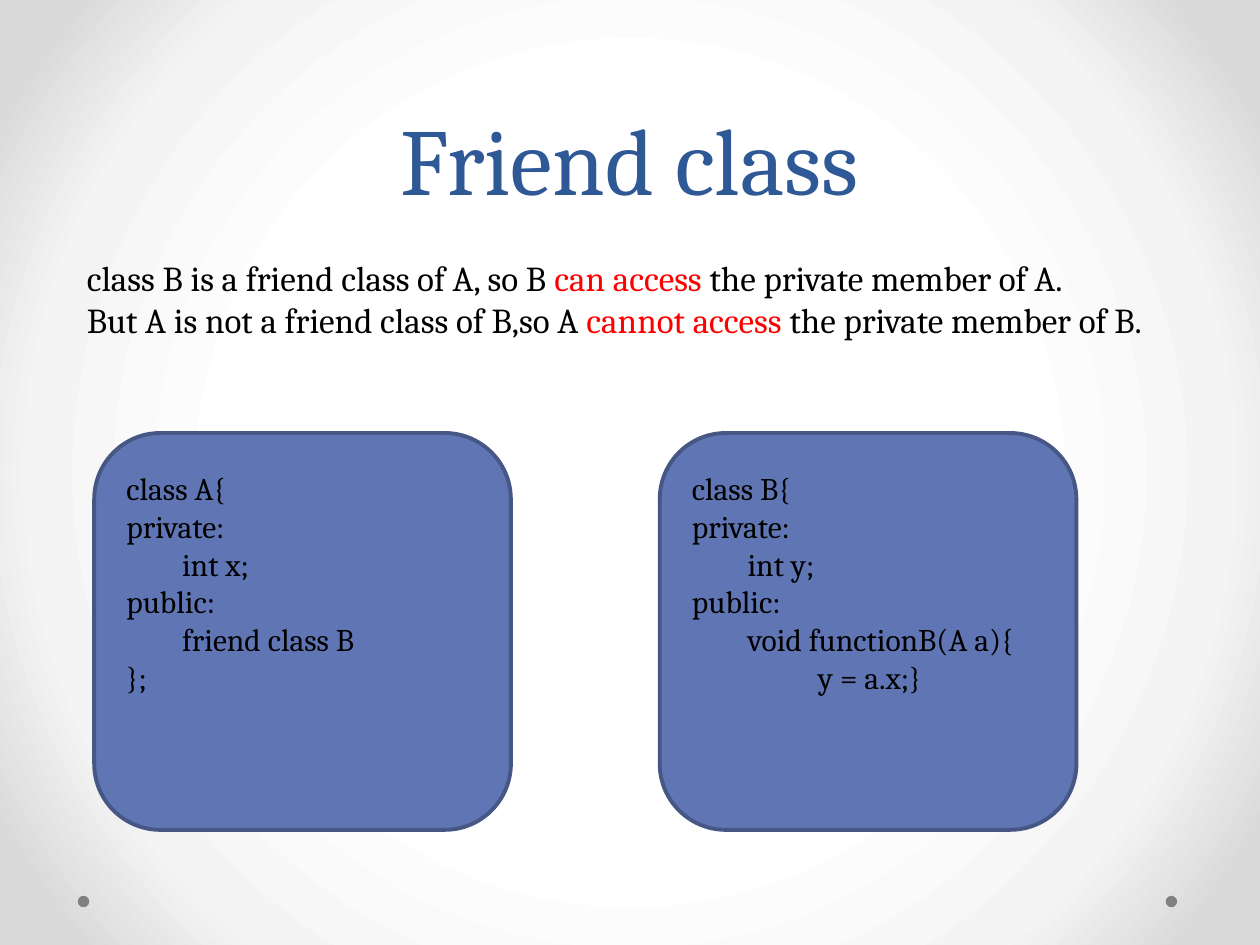
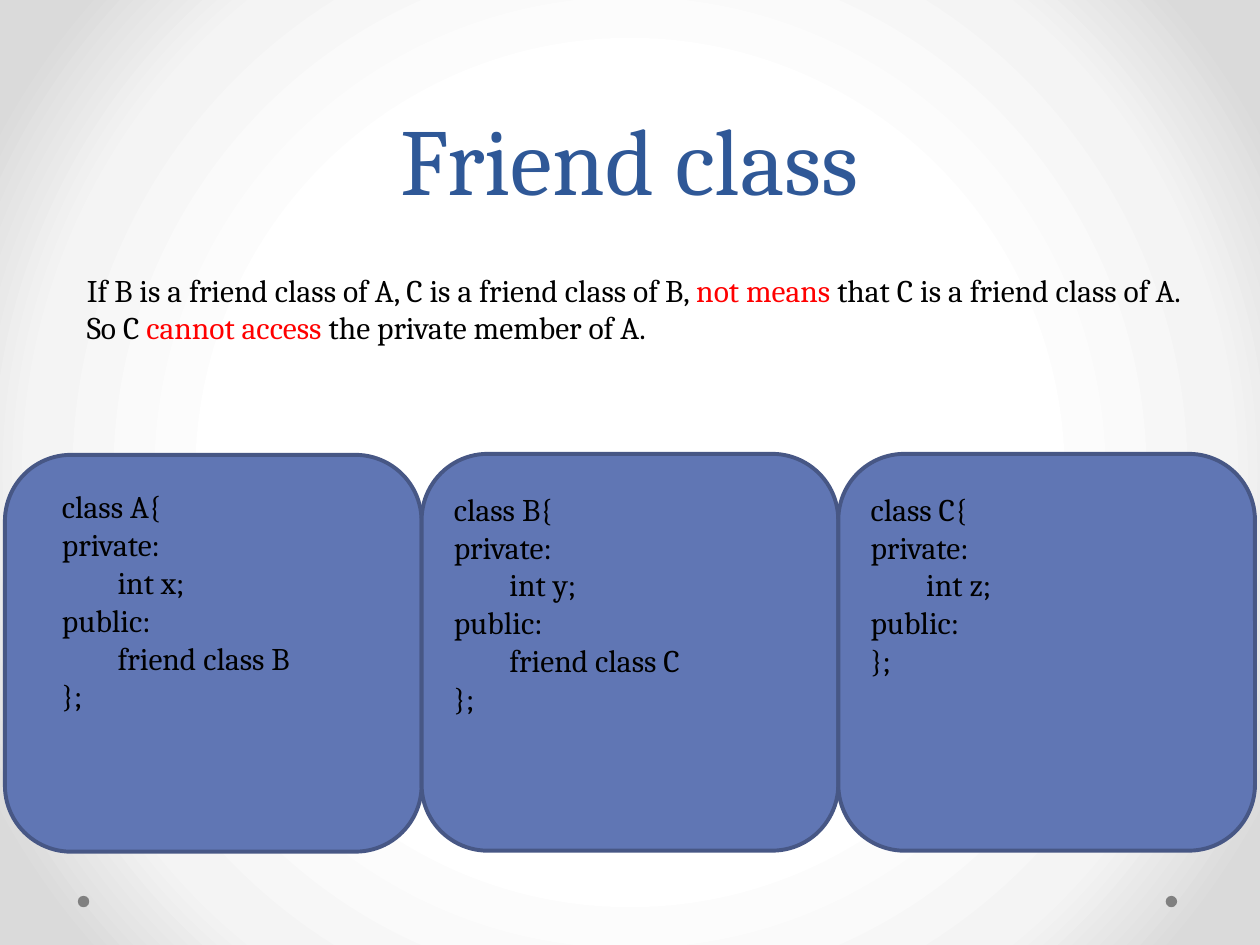
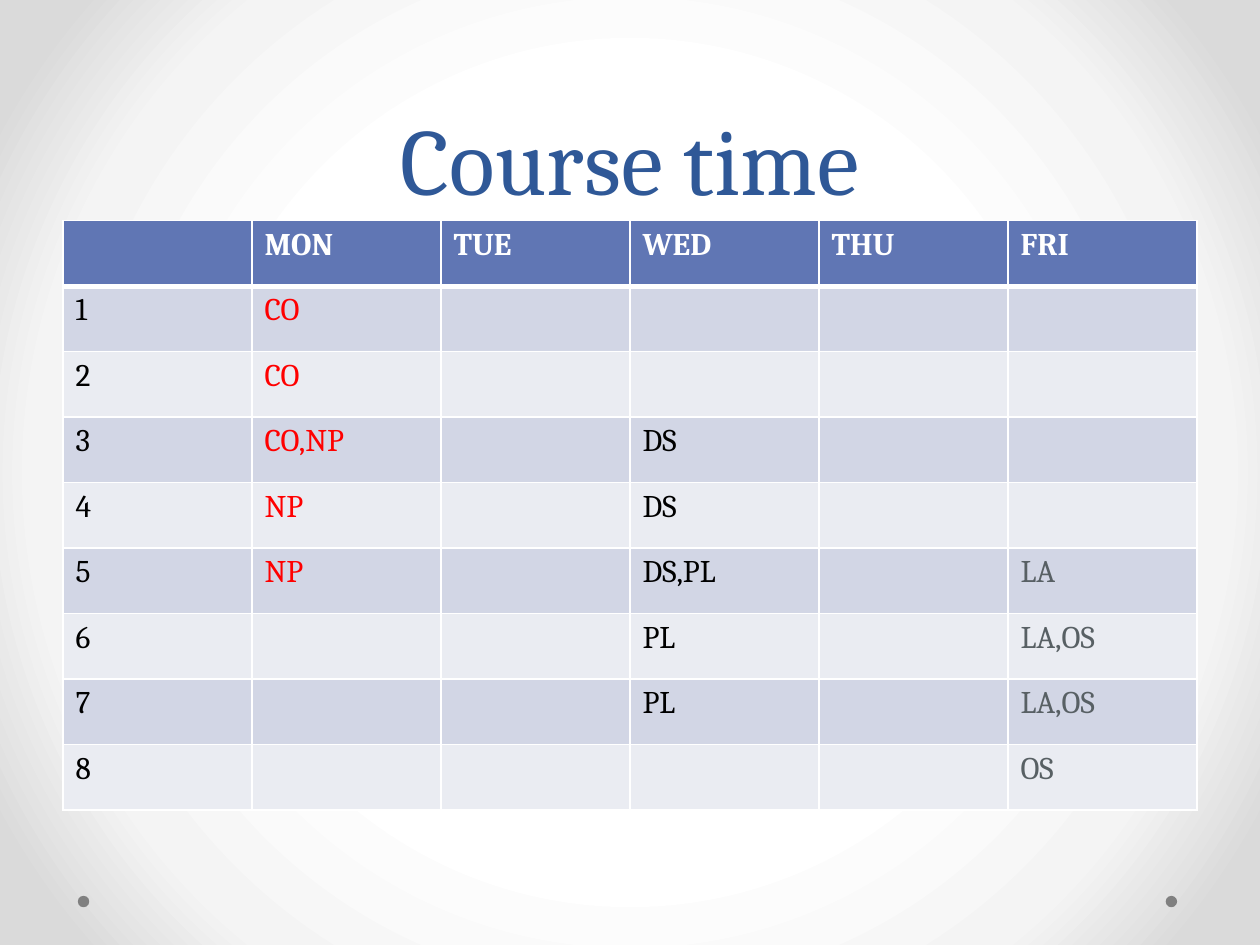
from lxml import etree
from pptx import Presentation
from pptx.dml.color import RGBColor
from pptx.enum.shapes import MSO_SHAPE as Preset
from pptx.enum.text import MSO_ANCHOR as Anchor, MSO_AUTO_SIZE as AutoSize, PP_ALIGN as Align
from pptx.oxml import parse_xml
from pptx.oxml.ns import nsdecls, qn
from pptx.util import Cm, Pt

# Shared style
FONT = "Cambria"
BLACK = RGBColor(0x00, 0x00, 0x00)
WHITE = RGBColor(0xFF, 0xFF, 0xFF)
RED = RGBColor(0xFF, 0x00, 0x00)
SLATE = RGBColor(0x58, 0x60, 0x64)
DOT_GRAY = RGBColor(0x80, 0x80, 0x80)
TITLE_BLUE = RGBColor(0x2F, 0x58, 0x97)
CARD_BLUE = RGBColor(0x60, 0x76, 0xB4)
CARD_EDGE = RGBColor(0x47, 0x57, 0x85)
BAND_DARK = RGBColor(0xD2, 0xD6, 0xE5)
BAND_LIGHT = RGBColor(0xEA, 0xEC, 0xF2)
BACKDROP_STOPS = [(50, WHITE), (76, RGBColor(0xF4, 0xF4, 0xF4)), (92, RGBColor(0xDA, 0xDA, 0xDA))]

CARD_WIDTH, CARD_HEIGHT = 8.4, 8
CODE_INDENTS = [0, 1.12, 2.54]  # cm for each nesting level

# Code as (nesting level, line)
CLASS_A = [(0, "class A{"), (0, "private:"), (1, "int x;"), (0, "public:"),
           (1, "friend class B"), (0, "};")]
CLASS_B_USER = [(0, "class B{"), (0, "private:"), (1, "int y;"), (0, "public:"),
                (1, "void functionB(A a){"), (2, "y = a.x;}")]
CLASS_B_FRIEND = [(0, "class B{"), (0, "private:"), (1, "int y;"), (0, "public:"),
                  (1, "friend class C"), (0, "};")]
CLASS_C = [(0, "class C{"), (0, "private:"), (1, "int z;"), (0, "public:"), (0, "};")]

# Explanations: each line is a list of (text, colour)
ONE_WAY = [
    [("class B is a friend class of A, so B ", BLACK), ("can access ", RED),
     ("the private member of A.", BLACK)],
    [("But A is not a friend class of B,so A ", BLACK), ("cannot access ", RED),
     ("the private member of B.", BLACK)],
]
NOT_TRANSITIVE = [
    [("If B is a friend class of A, C is a friend class of B, ", BLACK), ("not means ", RED),
     ("that C is a friend class of A.", BLACK)],
    [("So C ", BLACK), ("cannot access ", RED), ("the private member of A.", BLACK)],
]

DAYS = ["", "MON", "TUE", "WED", "THU", "FRI"]
COURSES = {
    "MON": ["CO", "CO", "CO,NP", "NP", "NP", "", "", ""],
    "WED": ["", "", "DS", "DS", "DS,PL", "PL", "PL", ""],
    "FRI": ["", "", "", "", "LA", "LA,OS", "LA,OS", "OS"],
}
PERIODS = 8
DAY_COLORS = {"MON": RED, "FRI": SLATE}


def style_font(font, size, color=None, bold=None):
    font.name, font.size, font.bold = FONT, Pt(size), bold
    if color is not None:
        font.color.rgb = color


def style_shape(shape, fill, edge=None):
    shape.shadow.inherit = False
    shape.fill.solid()
    shape.fill.fore_color.rgb = fill
    if edge is None:
        shape.line.fill.background()
    else:
        shape.line.color.rgb = edge
        shape.line.width = Pt(2.25)


def set_backdrop(master):
    """Radial gradient behind every slide."""
    master.background.fill.gradient()
    gradient = master.element.find(".//" + qn("a:gradFill"))
    for child in list(gradient):
        gradient.remove(child)
    stops = etree.SubElement(gradient, qn("a:gsLst"))
    for position, color in BACKDROP_STOPS:
        stop = etree.SubElement(stops, qn("a:gs"), pos=str(position * 1000))
        etree.SubElement(stop, qn("a:srgbClr"), val=str(color))
    circle = etree.SubElement(gradient, qn("a:path"), path="circle")
    etree.SubElement(circle, qn("a:fillToRect"), l="50000", t="50000", r="50000", b="50000")


def add_master_dots(master, page):
    """Draw the two footer dots and hand them over to the master."""
    for left in (23.5, 1.57):
        dot = page.shapes.add_shape(Preset.OVAL, Cm(left), Cm(18.06), Cm(0.23), Cm(0.23))
        style_shape(dot, DOT_GRAY)
        master.shapes.element.append(dot.element)


def add_page(deck, title):
    page = deck.slides.add_slide(deck.slide_layouts[5])
    box = page.shapes.title
    box.left, box.top, box.width, box.height = Cm(1.27), Cm(0), Cm(22.86), Cm(4.45)
    frame = box.text_frame
    frame.text = title
    frame.auto_size = AutoSize.NONE
    frame.vertical_anchor = Anchor.BOTTOM
    para = frame.paragraphs[0]
    para.alignment = Align.CENTER
    para.line_spacing = Pt(58)
    style_font(para.font, 54, TITLE_BLUE)
    return page


def add_text_frame(page, left, top, width, height):
    box = page.shapes.add_textbox(Cm(left), Cm(top), Cm(width), Cm(height))
    box.text_frame.word_wrap = True
    return box.text_frame


def next_paragraph(frame, index):
    return frame.add_paragraph() if index else frame.paragraphs[0]


def add_explanation(page, lines, top, size):
    frame = add_text_frame(page, 1.5, top, 22.8, 3.4)
    for index, line in enumerate(lines):
        para = next_paragraph(frame, index)
        style_font(para.font, size)
        for text, color in line:
            span = para.add_run()
            span.text = text
            span.font.color.rgb = color


def add_code_card(page, code, left, top, inset_left=0.4, inset_top=0.6):
    card = page.shapes.add_shape(Preset.ROUNDED_RECTANGLE, Cm(left), Cm(top),
                                 Cm(CARD_WIDTH), Cm(CARD_HEIGHT))
    style_shape(card, CARD_BLUE, CARD_EDGE)
    frame = add_text_frame(page, left + inset_left, top + inset_top, 7.8, 6.4)
    for index, (level, line) in enumerate(code):
        para = next_paragraph(frame, index)
        para.text = line
        style_font(para.font, 18, BLACK)
        properties = para._p.get_or_add_pPr()
        properties.set("marL", str(Cm(CODE_INDENTS[level])))
        properties.set("indent", "0")


def set_borders(cell, **widths):
    properties = cell._tc.get_or_add_tcPr()
    for side in "LRTB":
        properties.append(parse_xml(
            f'<a:ln{side} {nsdecls("a")} w="{Pt(widths.get(side, 1))}">'
            f'<a:solidFill><a:srgbClr val="{WHITE}"/></a:solidFill></a:ln{side}>'))


def fill_cell(cell, text, fill, color, bold=False):
    cell.fill.solid()
    cell.fill.fore_color.rgb = fill
    cell.text = text
    style_font(cell.text_frame.paragraphs[0].font, 18, color, bold)


def add_timetable(page):
    table = page.shapes.add_table(PERIODS + 1, len(DAYS), Cm(1.27), Cm(4.45),
                                  Cm(22.86), Cm(11.88)).table
    for column, day in enumerate(DAYS):
        header = table.cell(0, column)
        set_borders(header, B=3)
        fill_cell(header, day, CARD_BLUE, WHITE, bold=True)
        entries = COURSES.get(day, [""] * PERIODS)
        for period in range(1, PERIODS + 1):
            cell = table.cell(period, column)
            set_borders(cell, T=3 if period == 1 else 1)
            text = entries[period - 1] if day else str(period)
            band = BAND_DARK if period % 2 else BAND_LIGHT
            fill_cell(cell, text, band, DAY_COLORS.get(day, BLACK))


def main():
    deck = Presentation()
    deck.slide_width, deck.slide_height = Cm(25.4), Cm(19.05)
    set_backdrop(deck.slide_master)

    # Friendship goes one way
    page = add_page(deck, "Friend class")
    add_master_dots(deck.slide_master, page)
    add_code_card(page, CLASS_A, 1.9, 8.73)
    add_code_card(page, CLASS_B_USER, 13.3, 8.73)
    add_explanation(page, ONE_WAY, 5.05, 20)

    # Friendship is not transitive
    page = add_page(deck, "Friend class")
    add_code_card(page, CLASS_A, 0.1, 9.17, inset_left=0.9, inset_top=0.53)
    for step, code in enumerate([CLASS_B_FRIEND, CLASS_C], start=1):
        add_code_card(page, code, 0.1 + step * CARD_WIDTH, 9.15)
    add_explanation(page, NOT_TRANSITIVE, 5.33, 18)

    # Weekly schedule
    page = add_page(deck, "Course time")
    add_timetable(page)

    deck.save("out.pptx")


if __name__ == "__main__":
    main()
